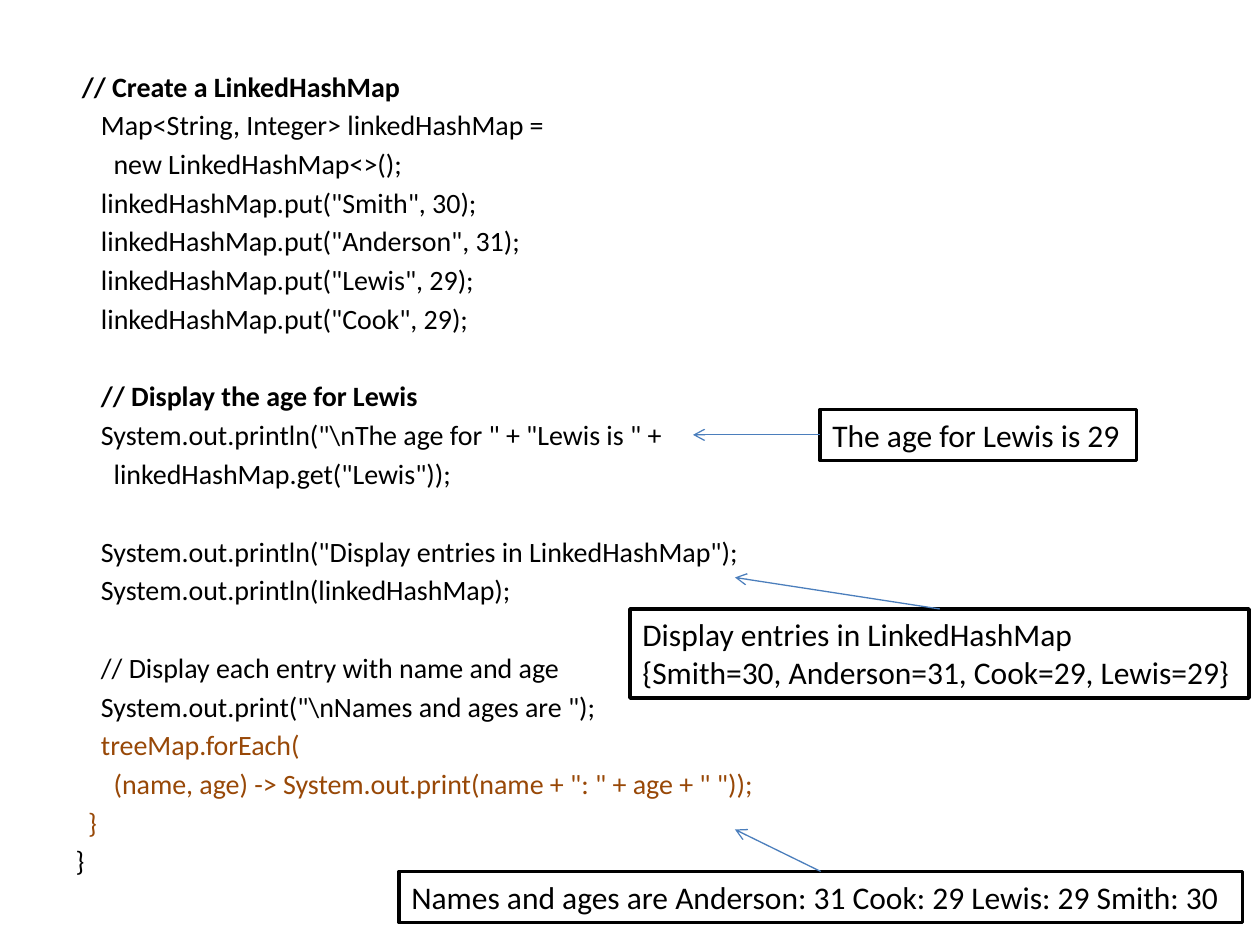
from pptx import Presentation
from pptx.dml.color import RGBColor
from pptx.enum.shapes import MSO_CONNECTOR, MSO_SHAPE
from pptx.enum.text import MSO_ANCHOR, MSO_AUTO_SIZE, PP_ALIGN
from pptx.oxml.ns import qn
from pptx.util import Pt
from lxml import etree

BLACK = RGBColor(0x00, 0x00, 0x00)
WHITE = RGBColor(0xFF, 0xFF, 0xFF)
BROWN = RGBColor(0x98, 0x48, 0x07)
BLUE = RGBColor(0x4B, 0x7E, 0xBC)


class CodeSlide:
    font = "Calibri"
    code_size = 16
    output_size = 18
    indent_step = 3.62
    line_gap = 2.9
    line_pitch = 22.4

    def __init__(self, presentation):
        self.slide = presentation.slides.add_slide(presentation.slide_layouts[1])
        title = self.slide.shapes.title
        title.element.getparent().remove(title.element)

    def style(self, paragraph, size, color=BLACK, bold=False):
        paragraph.alignment = PP_ALIGN.LEFT
        for run in paragraph.runs:
            run.font.name = self.font
            run.font.size = Pt(size)
            run.font.bold = bold
            run.font.color.rgb = color

    def code(self, left, top, width, height, lines):
        """Each line is (indent in characters, text, color, bold, blank lines above)."""
        body = self.slide.placeholders[1]
        body.left, body.top = Pt(left), Pt(top)
        body.width, body.height = Pt(width), Pt(height)
        frame = body.text_frame
        frame.auto_size = MSO_AUTO_SIZE.NONE
        frame.text = "\n".join(line[1] for line in lines)
        for paragraph, (indent, _, color, bold, blanks) in zip(frame.paragraphs, lines):
            self.style(paragraph, self.code_size, color, bold)
            paragraph.space_before = Pt(self.line_gap + blanks * self.line_pitch)
            properties = paragraph._p.get_or_add_pPr()
            properties.set("marL", str(Pt(indent * self.indent_step)))
            properties.set("indent", "0")
            etree.SubElement(properties, qn("a:buNone"))

    def output(self, left, top, width, height, text):
        box = self.slide.shapes.add_shape(
            MSO_SHAPE.RECTANGLE, Pt(left), Pt(top), Pt(width), Pt(height))
        box.shadow.inherit = False
        box.fill.solid()
        box.fill.fore_color.rgb = WHITE
        box.line.color.rgb = BLACK
        box.line.width = Pt(2)
        frame = box.text_frame
        frame.word_wrap = False
        frame.auto_size = MSO_AUTO_SIZE.SHAPE_TO_FIT_TEXT
        frame.vertical_anchor = MSO_ANCHOR.TOP
        frame.text = text
        for paragraph in frame.paragraphs:
            self.style(paragraph, self.output_size)

    def arrow(self, start, end):
        connector = self.slide.shapes.add_connector(
            MSO_CONNECTOR.STRAIGHT, *(Pt(value) for value in start + end))
        connector.line.color.rgb = BLUE
        connector.line.width = Pt(0.75)
        etree.SubElement(connector.line._get_or_add_ln(), qn("a:tailEnd"), type="arrow")
        etree.SubElement(connector._element.spPr, qn("a:effectLst"))


presentation = Presentation()
presentation.slide_width, presentation.slide_height = Pt(720), Pt(540)
page = CodeSlide(presentation)

# Program listing
page.code(36, 36, 648, 492, [
    (1, "// Create a LinkedHashMap", BLACK, True, 0),
    (4, "Map<String, Integer> linkedHashMap =", BLACK, False, 0),
    (6, "new LinkedHashMap<>();", BLACK, False, 0),
    (4, 'linkedHashMap.put("Smith", 30);', BLACK, False, 0),
    (4, 'linkedHashMap.put("Anderson", 31);', BLACK, False, 0),
    (4, 'linkedHashMap.put("Lewis", 29);', BLACK, False, 0),
    (4, 'linkedHashMap.put("Cook", 29);', BLACK, False, 0),
    (4, "// Display the age for Lewis", BLACK, True, 1),
    (4, r'System.out.println("\nThe age for " + "Lewis is " +', BLACK, False, 0),
    (6, 'linkedHashMap.get("Lewis"));', BLACK, False, 0),
    (4, 'System.out.println("Display entries in LinkedHashMap");', BLACK, False, 1),
    (4, "System.out.println(linkedHashMap);", BLACK, False, 0),
    (4, "// Display each entry with name and age", BLACK, False, 1),
    (4, r'System.out.print("\nNames and ages are ");', BLACK, False, 0),
    (4, "treeMap.forEach(", BROWN, False, 0),
    (6, '(name, age) -> System.out.print(name + ": " + age + " "));', BROWN, False, 0),
    (2, "}", BROWN, False, 0),
    (0, "}", BLACK, False, 0),
])

# Printed results, each with an arrow to the statement behind it
results = [
    ((468.5, 234, 181, 29.1), "The age for Lewis is 29",
     (468.5, 248.5), (396, 248.5)),
    ((360, 348, 353.8, 50.9),
     "Display entries in LinkedHashMap\n{Smith=30, Anderson=31, Cook=29, Lewis=29}",
     (537, 348), (420, 330)),
    ((228, 498, 482, 29.1),
     "Names and ages are Anderson: 31 Cook: 29 Lewis: 29 Smith: 30",
     (469, 498), (420, 474)),
]
for place, text, start, end in results:
    page.output(*place, text)
    page.arrow(start, end)

presentation.save("out.pptx")
